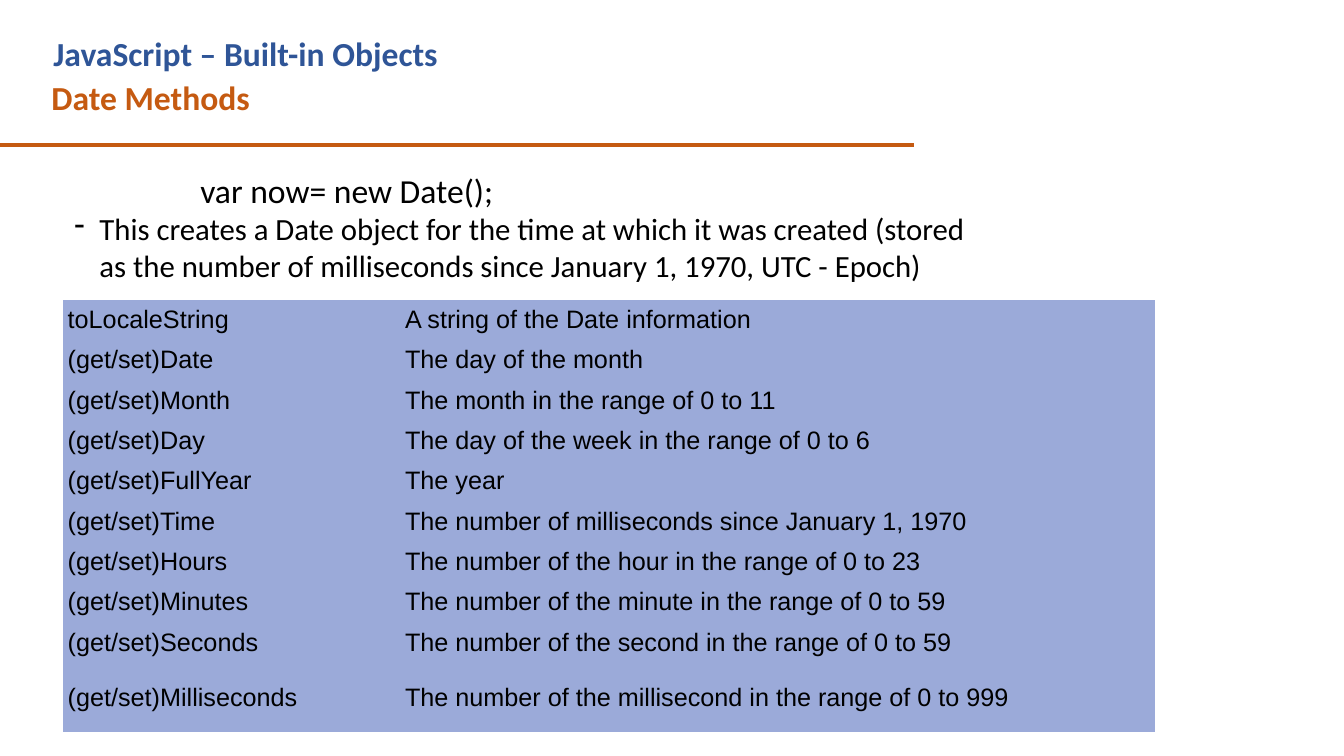
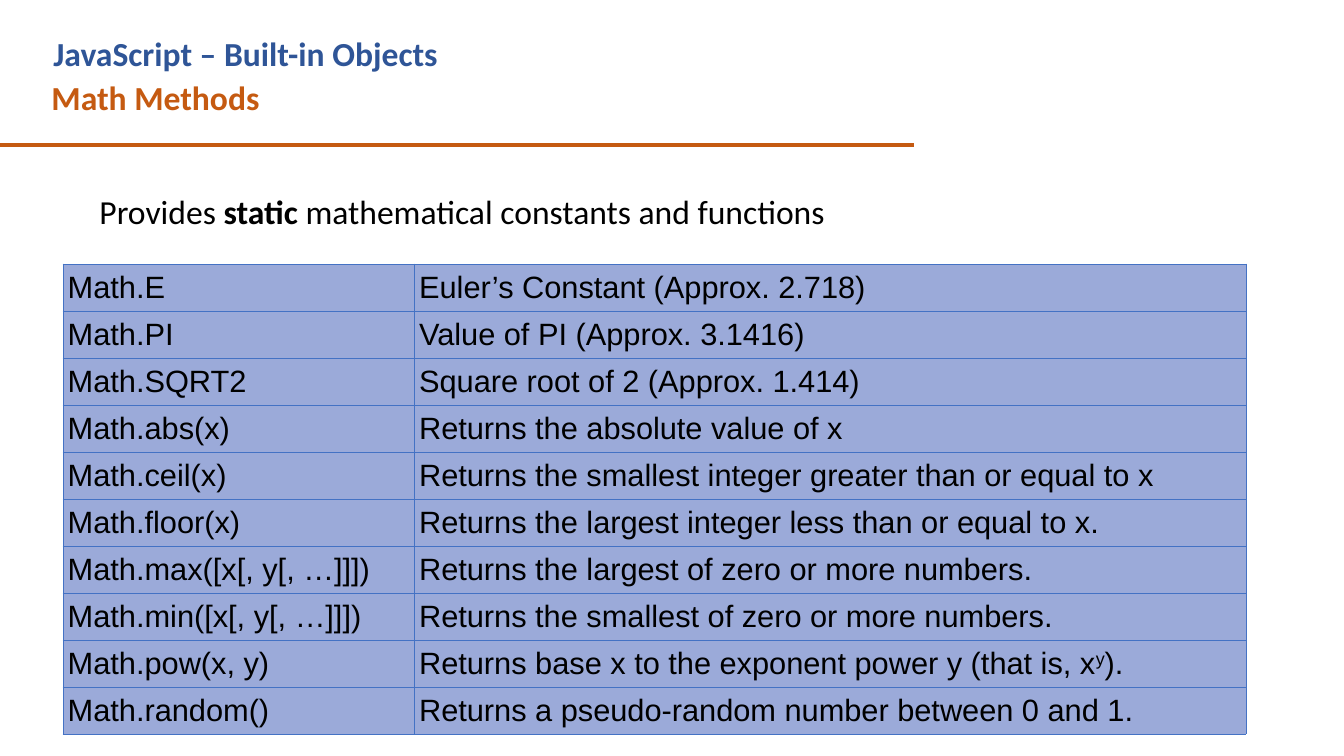
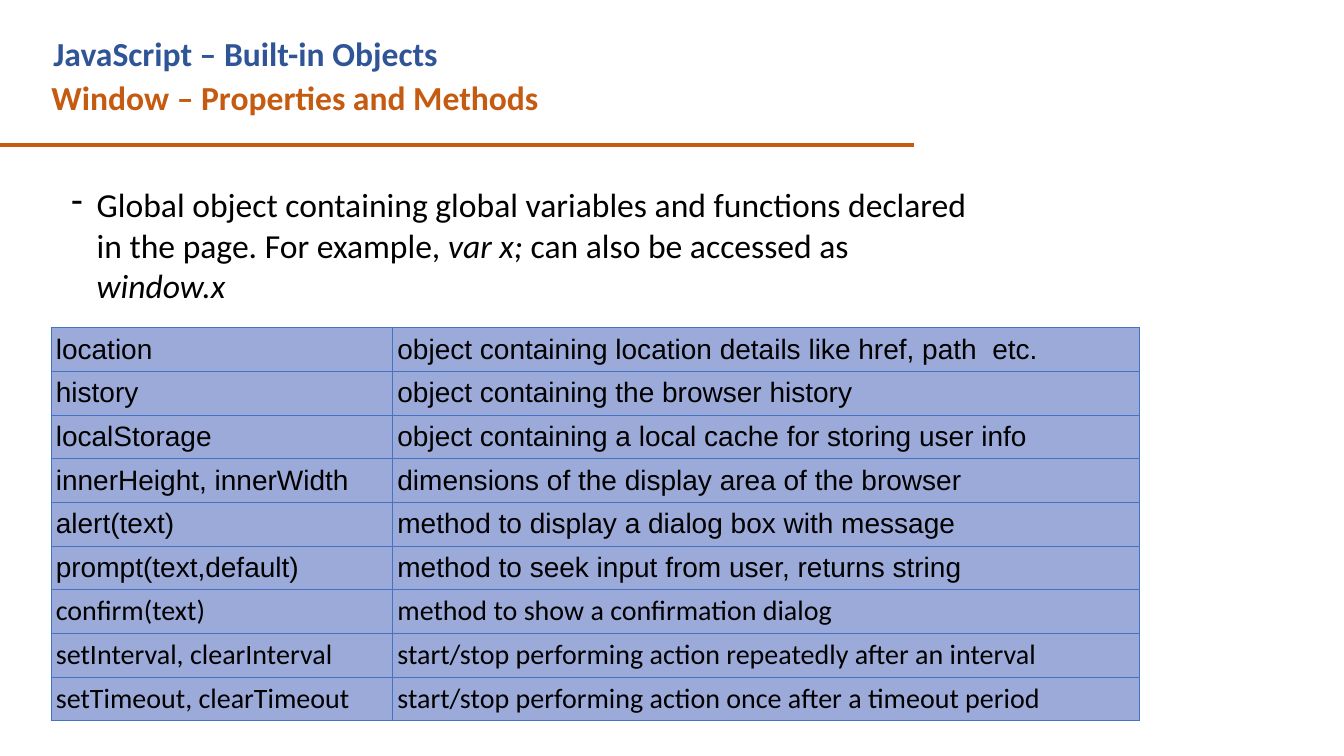
from lxml.etree import SubElement
from pptx import Presentation
from pptx.dml.color import RGBColor
from pptx.enum.shapes import MSO_CONNECTOR
from pptx.enum.text import MSO_ANCHOR, MSO_AUTO_SIZE, PP_ALIGN
from pptx.oxml.ns import qn
from pptx.util import Pt

COLORS = {
    "text": "000000",
    "heading": "2F5597",
    "accent": "C55A11",
    "cell": "9BAAD9",
    "border": "4472C4",
}
HEADING = "JavaScript – Built-in Objects"
BODY_FONT = "Calibri"
TABLE_FONT = "Arial"
BULLET_INDENT = 18
CELL_INSET = 3.4

DATE_METHODS = [
    ("toLocaleString", "A string of the Date information"),
    ("(get/set)Date", "The day of the month"),
    ("(get/set)Month", "The month in the range of 0 to 11"),
    ("(get/set)Day", "The day of the week in the range of 0 to 6"),
    ("(get/set)FullYear", "The year"),
    ("(get/set)Time", "The number of milliseconds since January 1, 1970"),
    ("(get/set)Hours", "The number of the hour in the range of 0 to 23"),
    ("(get/set)Minutes", "The number of the minute in the range of 0 to 59"),
    ("(get/set)Seconds", "The number of the second in the range of 0 to 59"),
    ("(get/set)Milliseconds", "The number of the millisecond in the range of 0 to 999"),
]
# A list holds runs; a pair in it is a text with its own format
MATH_METHODS = [
    ("Math.E", "Euler’s Constant (Approx. 2.718)"),
    ("Math.PI", "Value of PI (Approx. 3.1416)"),
    ("Math.SQRT2", "Square root of 2 (Approx. 1.414)"),
    ("Math.abs(x)", "Returns the absolute value of x"),
    ("Math.ceil(x)", "Returns the smallest integer greater than or equal to x"),
    ("Math.floor(x)", "Returns the largest integer less than or equal to x."),
    ("Math.max([x[, y[, …]]])", "Returns the largest of zero or more numbers."),
    ("Math.min([x[, y[, …]]])", "Returns the smallest of zero or more numbers."),
    ("Math.pow(x, y)", ["Returns base x to the exponent power y (that is, x",
                        ("y", {"superscript": True}), ")."]),
    ("Math.random()", "Returns a pseudo-random number between 0 and 1."),
]
WINDOW_MEMBERS = [
    ("location", "object containing location details like href, path  etc."),
    ("history", "object containing the browser history"),
    ("localStorage", "object containing a local cache for storing user info"),
    ("innerHeight, innerWidth", "dimensions of the display area of the browser"),
    ("alert(text)", "method to display a dialog box with message"),
    ("prompt(text,default)", "method to seek input from user, returns string"),
    ("confirm(text)", "method to show a confirmation dialog"),
    ("setInterval, clearInterval", "start/stop performing action repeatedly after an interval"),
    ("setTimeout, clearTimeout", "start/stop performing action once after a timeout period"),
]


def rgb(name):
    return RGBColor.from_string(COLORS[name])


def write(paragraph, text, size=24, font=BODY_FONT, color="text",
          bold=False, italic=False, superscript=False):
    """Add a text, or a list of runs, in one format."""
    if isinstance(text, list):
        base = dict(size=size, font=font, color=color, bold=bold, italic=italic)
        for part in text:
            words, extra = (part, {}) if isinstance(part, str) else part
            write(paragraph, words, **{**base, **extra})
        return
    run = paragraph.add_run()
    run.text = text
    run.font.size = Pt(size)
    run.font.name = font
    run.font.bold = bold
    run.font.italic = italic
    run.font.color.rgb = rgb(color)
    if superscript:
        run.font._element.set("baseline", "30000")


def indent(paragraph, left, bullet=None):
    """Indent a paragraph, with a hanging bullet if one is given."""
    properties = paragraph._p.get_or_add_pPr()
    properties.set("marL", str(Pt(left)))
    properties.set("indent", str(-Pt(left) if bullet else 0))
    if bullet:
        SubElement(properties, qn("a:buChar")).set("char", bullet)


def add_text_box(slide, left, top, width, height):
    frame = slide.shapes.add_textbox(Pt(left), Pt(top), Pt(width), Pt(height)).text_frame
    frame.word_wrap = True
    return frame


def add_topic_slide(deck, topic):
    """Add a slide with the shared heading, its topic as title, and the rule."""
    slide = deck.slides.add_slide(deck.slide_layouts[5])
    title = slide.shapes.title
    title.left, title.top, title.width, title.height = Pt(29.5), Pt(51), Pt(630), Pt(36)
    frame = title.text_frame
    frame.auto_size = MSO_AUTO_SIZE.NONE
    frame.vertical_anchor = MSO_ANCHOR.TOP
    frame.paragraphs[0].alignment = PP_ALIGN.LEFT
    write(frame.paragraphs[0], topic, color="accent", bold=True)

    rule = slide.shapes.add_connector(MSO_CONNECTOR.STRAIGHT, 0, Pt(103.7), Pt(653), Pt(103.7))
    rule.line.color.rgb = rgb("accent")
    rule.line.width = Pt(3)
    SubElement(rule._element.spPr, qn("a:effectLst"))

    heading = add_text_box(slide, 31, 20, 590, 36)
    write(heading.paragraphs[0], HEADING, color="heading", bold=True)
    return slide


def add_intro(slide, left, top, paragraphs):
    """Add the text above the table; each item is text, left indent, bullet, size."""
    frame = add_text_box(slide, left, top, 656, 90)
    for number, (text, margin, bullet, size) in enumerate(paragraphs):
        paragraph = frame.add_paragraph() if number else frame.paragraphs[0]
        indent(paragraph, margin, bullet)
        write(paragraph, text, size=size)


def set_borders(cell, color):
    """Draw thin borders in the colour, or none."""
    properties = cell._tc.get_or_add_tcPr()
    for side in ("lnL", "lnR", "lnT", "lnB"):
        line = SubElement(properties, qn(f"a:{side}"))
        if color:
            line.set("w", str(Pt(0.5)))
            fill = SubElement(line, qn("a:solidFill"))
            SubElement(fill, qn("a:srgbClr")).set("val", COLORS[color])
        else:
            SubElement(line, qn("a:noFill"))


def add_reference_table(slide, entries, left, top, widths, row_height, size,
                        border="border", last_height=None, body_font_from=None):
    """Add a two-column table; rows from body_font_from on use the body font."""
    heights = [row_height] * len(entries)
    heights[-1] = last_height or row_height
    table = slide.shapes.add_table(len(entries), len(widths), Pt(left), Pt(top),
                                   Pt(sum(widths)), Pt(sum(heights))).table
    table.first_row = table.horz_banding = False
    for column, width in zip(table.columns, widths):
        column.width = Pt(width)
    for number, (row, height, entry) in enumerate(zip(table.rows, heights, entries)):
        row.height = Pt(height)
        in_body_font = body_font_from is not None and number >= body_font_from
        for cell, text in zip(row.cells, entry):
            cell.margin_left = cell.margin_top = cell.margin_bottom = Pt(CELL_INSET)
            cell.margin_right = 0
            cell.vertical_anchor = MSO_ANCHOR.MIDDLE
            set_borders(cell, border)
            cell.fill.solid()
            cell.fill.fore_color.rgb = rgb("cell")
            write(cell.text_frame.paragraphs[0], text, size=size,
                  font=BODY_FONT if in_body_font else TABLE_FONT)


def main():
    deck = Presentation()
    deck.slide_width, deck.slide_height = Pt(960), Pt(540)

    # Date
    date = add_topic_slide(deck, "Date Methods")
    add_intro(date, 46, 117.5, [
        ("var now= new Date();", 90, None, 24),
        ("This creates a Date object for the time at which it was created (stored "
         "as the number of milliseconds since January 1, 1970, UTC - Epoch)",
         BULLET_INDENT, "-", 22),
    ])
    add_reference_table(date, DATE_METHODS, 45, 214, (241, 539), 28.8, 18,
                        border=None, last_height=50)

    # Math
    math = add_topic_slide(deck, "Math Methods")
    add_intro(math, 46, 132.5, [
        (["Provides ", ("static", {"bold": True}), " mathematical constants and functions"],
         BULLET_INDENT, None, 24),
    ])
    add_reference_table(math, MATH_METHODS, 45, 188.5, (251, 594), 33.6, 22)

    # Window
    window = add_topic_slide(deck, "Window – Properties and Methods")
    add_intro(window, 44, 128, [
        (["Global object containing global variables and functions declared in the page. "
          "For example, ", ("var x;", {"italic": True}), " can also be accessed as ",
          ("window.x", {"italic": True})], BULLET_INDENT, "-", 24),
    ])
    add_reference_table(window, WINDOW_MEMBERS, 36.5, 234, (244, 533.5), 31.2, 20,
                        body_font_from=6)

    deck.save("out.pptx")


if __name__ == "__main__":
    main()
